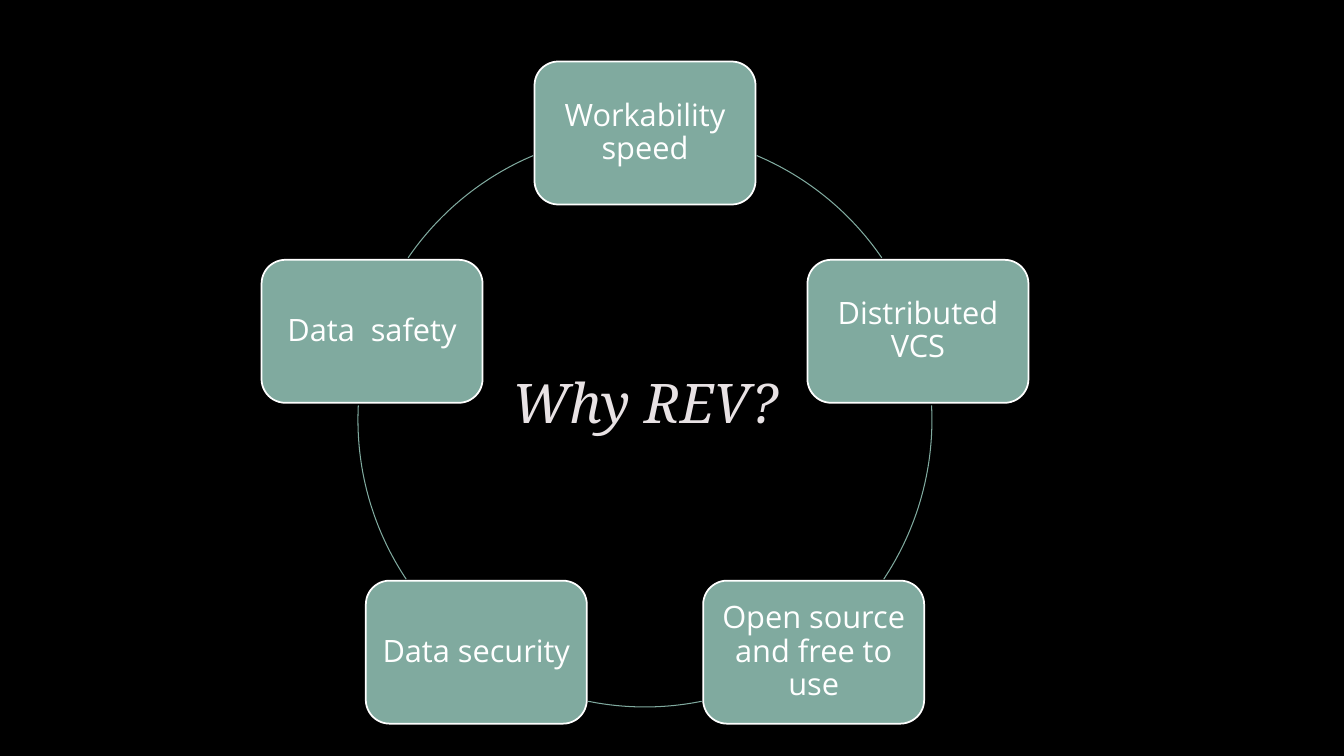
"""Build the "Why REV?" slide: five benefits on a ring around the title."""
from math import cos, radians, sin

from lxml import etree
from pptx import Presentation
from pptx.dml.color import RGBColor
from pptx.enum.shapes import MSO_SHAPE
from pptx.enum.text import MSO_ANCHOR, PP_ALIGN
from pptx.oxml import parse_xml
from pptx.util import Emu, Pt

ROUNDED = MSO_SHAPE.ROUNDED_RECTANGLE
ARC = MSO_SHAPE.ARC
MIDDLE = MSO_ANCHOR.MIDDLE
CENTER = PP_ALIGN.CENTER

EMU_PER_PIXEL = 914400 / 100.8
COLORS = {
    "background": "000000",
    "sage": "80AA9F",
    "white": "FFFFFF",
    "title": "E8E2E4",
    "outline": "404040",
}
DRAWING_NS = "http://schemas.openxmlformats.org/drawingml/2006/main"

RING_X, RING_Y, RING_RADIUS = 645, 420, 287
CARD_WIDTH, CARD_HEIGHT = 221, 143
CARD_INSET = 9
TITLE_TOP_INSET = 23
BENEFITS = [
    "Workability speed",
    "Distributed VCS",
    "Open source and free to use",
    "Data security",
    "Data  safety",
]
ARC_ANGLES = [
    (292.9, 325.6),
    (357.1, 33.7),
    (78.6, 101.4),
    (146.3, 182.9),
    (214.4, 247.1),
]


def px(length):
    """Turn pixels into EMU."""
    return Emu(round(length * EMU_PER_PIXEL))


def color(name):
    """Look up a named colour."""
    return RGBColor.from_string(COLORS[name])


def set_text(box, text, font, size, ink):
    """Write one centred paragraph into a box and return its run."""
    frame = box.text_frame
    frame.word_wrap = True
    frame.vertical_anchor = MIDDLE
    para = frame.paragraphs[0]
    para.alignment = CENTER
    para.line_spacing = 0.9
    span = para.add_run()
    span.text = text
    span.font.name = font
    span.font.size = Pt(size)
    span.font.color.rgb = color(ink)
    return span


def outline_text(span, ink):
    """Give a run a thin, nearly transparent outline."""
    outline = parse_xml(
        f'<a:ln xmlns:a="{DRAWING_NS}" w="9525"><a:solidFill>'
        f'<a:srgbClr val="{COLORS[ink]}"/></a:solidFill></a:ln>'
    )
    alpha = etree.SubElement(outline[0][0], f"{{{DRAWING_NS}}}alpha")
    alpha.set("val", "10000")
    span.font._element.insert(0, outline)


def add_title(page, text):
    """Add the italic title inside the ring."""
    box = page.shapes.add_textbox(px(462), px(337), px(367), px(119))
    box.text_frame.margin_top = px(TITLE_TOP_INSET)
    span = set_text(box, text, "Noto Serif", 39, "title")
    span.font.italic = True
    outline_text(span, "outline")


def add_card(page, text, angle):
    """Add a benefit card centred on the ring at an angle."""
    left = RING_X + RING_RADIUS * cos(radians(angle)) - CARD_WIDTH / 2
    top = RING_Y + RING_RADIUS * sin(radians(angle)) - CARD_HEIGHT / 2
    card = page.shapes.add_shape(
        ROUNDED, px(left), px(top), px(CARD_WIDTH), px(CARD_HEIGHT)
    )
    card.shadow.inherit = False
    card.fill.solid()
    card.fill.fore_color.rgb = color("sage")
    card.line.color.rgb = color("white")
    card.line.width = Pt(1.25)
    frame = card.text_frame
    frame.margin_left = frame.margin_right = px(CARD_INSET)
    frame.margin_top = frame.margin_bottom = px(CARD_INSET)
    set_text(card, text, "Open Sans", 22, "white")


def add_ring_arc(page, start, end):
    """Add a stretch of the ring between two clockwise angles."""
    size = px(2 * RING_RADIUS)
    arc = page.shapes.add_shape(
        ARC, px(RING_X - RING_RADIUS), px(RING_Y - RING_RADIUS), size, size
    )
    arc.shadow.inherit = False
    arc.adjustments[0] = start * 0.6
    arc.adjustments[1] = end * 0.6
    arc.fill.background()
    arc.line.color.rgb = color("sage")
    arc.line.width = Pt(0.75)


def main():
    """Build and save the deck."""
    deck = Presentation()
    deck.slide_width, deck.slide_height = px(1344), px(756)
    page = deck.slides.add_slide(deck.slide_layouts[6])
    page.background.fill.solid()
    page.background.fill.fore_color.rgb = color("background")
    add_title(page, "Why REV?")
    step = 360 / len(BENEFITS)
    for index, (benefit, angles) in enumerate(zip(BENEFITS, ARC_ANGLES)):
        add_card(page, benefit, index * step - 90)
        add_ring_arc(page, *angles)
    deck.save("out.pptx")


main()
